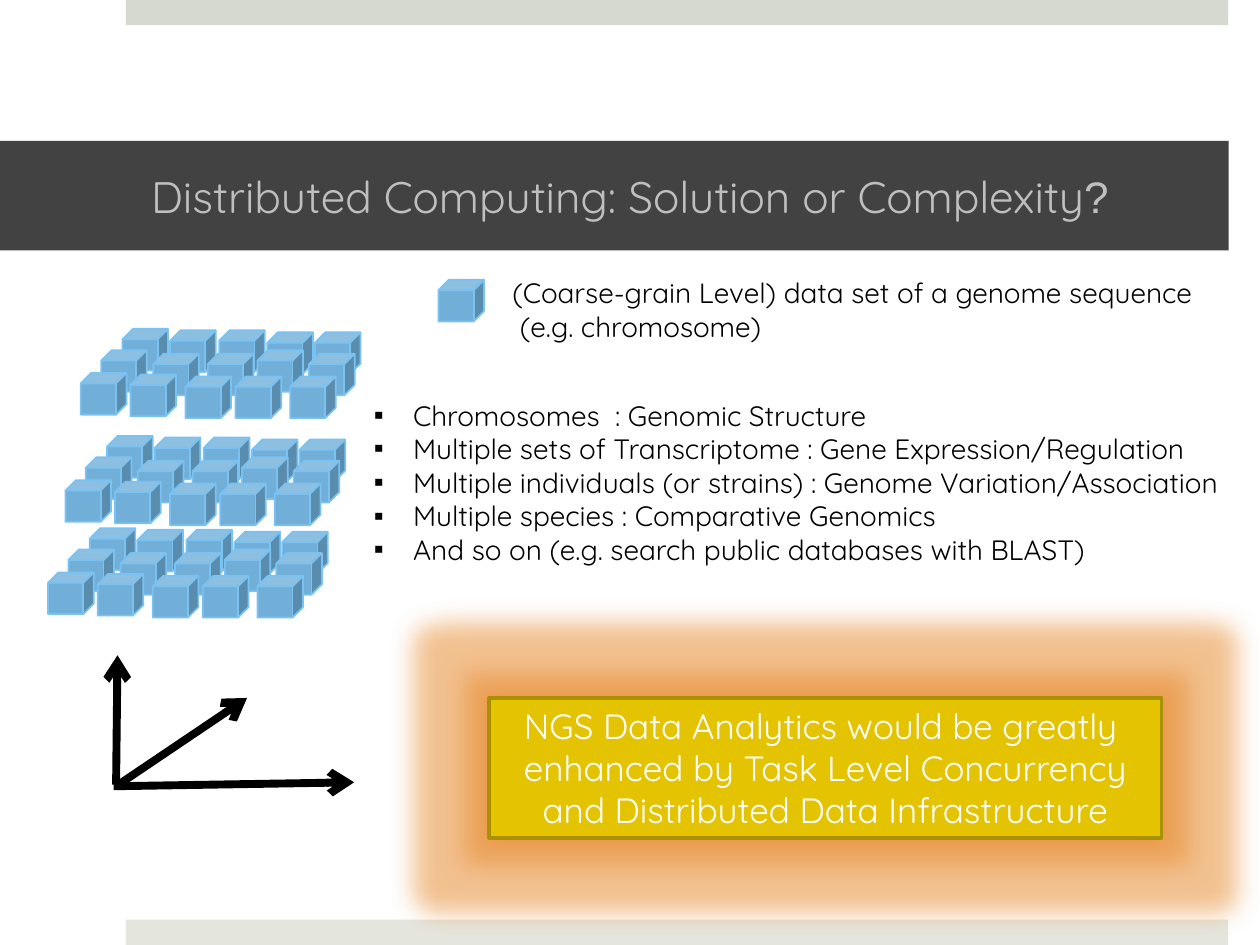
from dataclasses import dataclass

from lxml.etree import SubElement
from pptx import Presentation
from pptx.dml.color import RGBColor
from pptx.enum.shapes import MSO_CONNECTOR, MSO_SHAPE
from pptx.enum.text import MSO_ANCHOR, PP_ALIGN
from pptx.oxml.ns import qn
from pptx.util import Cm, Pt


@dataclass(frozen=True)
class Theme:
    font: str = "Quicksand"
    mark_font: str = "Arial"
    top_bar: str = "D6D9CD"
    bottom_bar: str = "E4E6DE"
    band: str = "424242"
    title: str = "BFBFBF"
    body: str = "000000"
    cube: str = "71AFD9"
    cube_edge: str = "7AC2F2"
    callout: str = "E4C402"
    callout_edge: str = "A99101"
    callout_text: str = "FFFFFF"
    glow: str = "E68422"
    title_size: float = 25.2
    body_size: float = 16
    callout_size: float = 20


@dataclass(frozen=True)
class Box:
    """A region in centimetres."""
    left: float
    top: float
    width: float
    height: float

    def lengths(self):
        return Cm(self.left), Cm(self.top), Cm(self.width), Cm(self.height)


THEME = Theme()
CUBE_WIDTH, CUBE_HEIGHT = 0.92, 0.84

# Cubes of one layer, back row to front row, from the layer's corner
LAYER_CUBES = [
    (0.84, 0), (1.8, 0.03), (2.79, 0.03), (3.76, 0.07), (4.72, 0.07),
    (0.41, 0.43), (1.46, 0.5), (2.56, 0.5), (3.56, 0.43), (4.6, 0.5),
    (0, 0.89), (1, 0.92), (2.11, 0.96), (3.12, 0.96), (4.22, 0.96),
]


def add_block(shapes, kind, box, fill, edge=None, edge_width=1):
    block = shapes.add_shape(kind, *box.lengths())
    block.shadow.inherit = False
    block.fill.solid()
    block.fill.fore_color.rgb = RGBColor.from_string(fill)
    if edge:
        block.line.color.rgb = RGBColor.from_string(edge)
        block.line.width = Pt(edge_width)
    else:
        block.line.fill.background()
    return block


def write_text(holder, lines, size, color, align=PP_ALIGN.LEFT,
               anchor=MSO_ANCHOR.TOP, bullet=None, indent=0.79):
    frame = holder.text_frame
    frame.word_wrap = True
    frame.vertical_anchor = anchor
    for index, line in enumerate(lines):
        para = frame.paragraphs[0] if index == 0 else frame.add_paragraph()
        if bullet:
            properties = para._p.get_or_add_pPr()
            properties.set("marL", str(Cm(indent)))
            properties.set("indent", str(-Cm(indent)))
            SubElement(properties, qn("a:buFont")).set("typeface", THEME.mark_font)
            SubElement(properties, qn("a:buChar")).set("char", bullet)
        para.alignment = align
        span = para.add_run()
        span.text = line
        format_span(span, size, color, THEME.font)
    return frame


def format_span(span, size, color, font):
    span.font.name = font
    span.font.size = Pt(size)
    span.font.color.rgb = RGBColor.from_string(color)


def add_bars(page, box):
    bar_height = 0.51
    bottom = box.top + box.height - bar_height
    for top, color in ((box.top, THEME.top_bar), (bottom, THEME.bottom_bar)):
        bar = Box(box.left, top, box.width, bar_height)
        add_block(page.shapes, MSO_SHAPE.RECTANGLE, bar, color)


def add_title(page, box):
    band = add_block(page.shapes, MSO_SHAPE.RECTANGLE, box, THEME.band)
    frame = write_text(band, ["Distributed Computing: Solution or Complexity"],
                       THEME.title_size, THEME.title, anchor=MSO_ANCHOR.MIDDLE)
    frame.margin_left, frame.margin_right = Cm(3.05), Cm(0.76)
    mark = frame.paragraphs[0].add_run()
    mark.text = "?"
    format_span(mark, THEME.title_size, THEME.title, THEME.mark_font)


def add_cube(shapes, left, top):
    box = Box(left, top, CUBE_WIDTH, CUBE_HEIGHT)
    add_block(shapes, MSO_SHAPE.CUBE, box, THEME.cube, THEME.cube_edge)


def add_layer(page, left, top):
    group = page.shapes.add_group_shape()
    for across, down in LAYER_CUBES:
        add_cube(group.shapes, left + across, top + down)


def add_legend(page, box):
    add_cube(page.shapes, box.left, box.top + 0.2)
    text_left = 1.24
    label = Box(box.left + text_left, box.top, box.width - text_left, box.height)
    write_text(page.shapes.add_textbox(*label.lengths()),
               ["(Coarse-grain Level) data set of a genome sequence",
                " (e.g. chromosome)"],
               THEME.body_size, THEME.body)


def add_topics(page, box):
    write_text(page.shapes.add_textbox(*box.lengths()),
               ["Chromosomes  : Genomic Structure",
                "Multiple sets of Transcriptome : Gene Expression/Regulation",
                "Multiple individuals (or strains) : Genome Variation/Association",
                "Multiple species : Comparative Genomics",
                "And so on (e.g. search public databases with BLAST)"],
               THEME.body_size, THEME.body, bullet="▪")


def add_axes(page, box):
    bottom = box.top + box.height
    origin = box.left + 0.05
    axes = [
        (box.left, bottom, box.left + box.width, bottom - 0.08),
        (origin, bottom, box.left + 2.69, box.top + 0.86),
        (origin, bottom - 0.03, origin + 0.03, box.top),
    ]
    for ends in axes:
        axis = page.shapes.add_connector(MSO_CONNECTOR.STRAIGHT, *map(Cm, ends))
        axis.line.color.rgb = RGBColor.from_string(THEME.body)
        axis.line.width = Pt(4.5)
        SubElement(axis.line._get_or_add_ln(), qn("a:tailEnd")).set("type", "arrow")
        SubElement(axis._element.spPr, qn("a:effectLst"))


def add_halo(block):
    """A wide glow with a tighter, denser one inside it."""
    effects = block._element.spPr.find(qn("a:effectLst"))
    for tag, radius_name, radius in (("a:glow", "rad", 28), ("a:outerShdw", "blurRad", 12)):
        effect = SubElement(effects, qn(tag))
        effect.set(radius_name, str(Pt(radius)))
        color = SubElement(effect, qn("a:srgbClr"))
        color.set("val", THEME.glow)
        SubElement(color, qn("a:alpha")).set("val", "45000")


def add_callout(page, box):
    block = add_block(page.shapes, MSO_SHAPE.RECTANGLE, box, THEME.callout,
                      THEME.callout_edge, edge_width=2)
    add_halo(block)
    write_text(block, ["NGS Data Analytics would be greatly ",
                       "enhanced by Task Level Concurrency",
                       "and Distributed Data Infrastructure"],
               THEME.callout_size, THEME.callout_text,
               align=PP_ALIGN.CENTER, anchor=MSO_ANCHOR.MIDDLE)


def main():
    deck = Presentation()
    deck.slide_width, deck.slide_height = Cm(25.4), Cm(19.05)
    page = deck.slides.add_slide(deck.slide_layouts[6])

    # Frame bars
    add_bars(page, Box(2.54, 0, 22.22, 19.05))
    # Data cubes and their legend
    add_layer(page, 1.32, 8.79)
    add_legend(page, Box(8.84, 5.44, 16.56, 1.63))
    add_layer(page, 1.63, 6.63)
    add_layer(page, 0.97, 10.65)
    # Kinds of data, axes and conclusion
    add_topics(page, Box(7.29, 7.9, 18.11, 3.68))
    add_axes(page, Box(2.29, 13.21, 4.85, 2.64))
    add_callout(page, Box(9.86, 14.07, 13.56, 2.82))
    # Title band
    add_title(page, Box(0, 2.84, 24.77, 2.21))

    deck.save("out.pptx")


if __name__ == "__main__":
    main()
